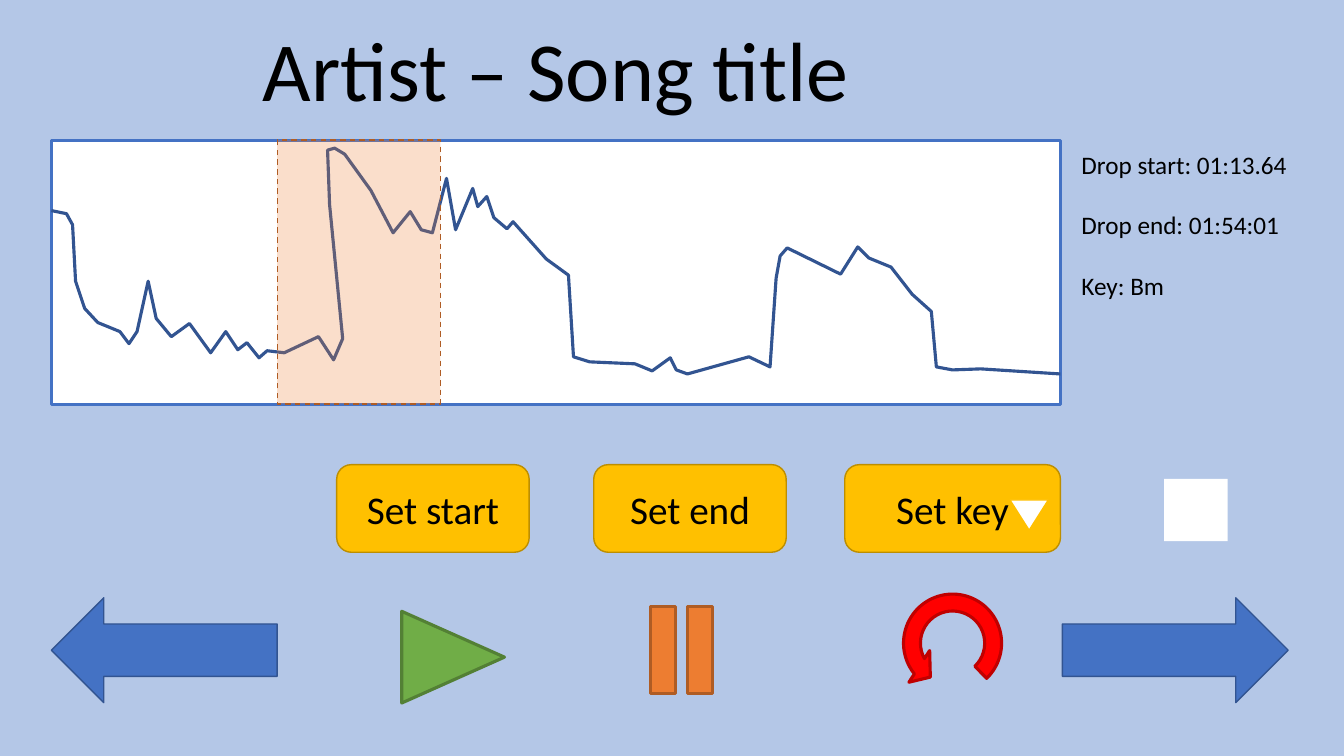
from dataclasses import dataclass
from typing import Optional

from lxml.etree import SubElement
from pptx import Presentation
from pptx.dml.color import RGBColor
from pptx.enum.dml import MSO_LINE
from pptx.enum.shapes import MSO_SHAPE
from pptx.enum.text import MSO_ANCHOR, MSO_AUTO_SIZE, PP_ALIGN
from pptx.oxml.ns import qn
from pptx.shapes.autoshape import Shape
from pptx.slide import Slide
from pptx.util import Pt

FONT = "Calibri"
COLOURS = {
    "background": "B4C7E7", "black": "000000", "white": "FFFFFF",
    "blue": "4472C4", "navy": "325491", "orange": "ED7D31", "rust": "AF5C24",
    "green": "70AD47", "forest": "538035", "red": "FF0000", "crimson": "C00000",
    "gold": "FFC000", "bronze": "BD8E00",
}
LEFT, TRACK_TOP, TRACK_WIDTH, TRACK_HEIGHT = 36.7, 100.1, 720.7, 188.6
BUTTON_TOP, BUTTON_HEIGHT, BUTTON_WIDTH = 331.9, 62.6, 137.5
ARROW_TOP, ARROW_WIDTH, ARROW_HEIGHT = 427, 161.3, 74.9
WAVE_SCALE = Pt(0.72)
WAVE = [
    (51, 209), (66, 212), (72, 223), (75, 279), (84, 306), (97, 320), (119, 329), (128, 341),
    (136, 329), (147, 279), (155, 316), (170, 334), (188, 321), (209, 350), (224, 329),
    (236, 347), (245, 340), (257, 355), (265, 348), (282, 350), (316, 334), (331, 357),
    (340, 336), (327, 203), (325, 149), (332, 147), (342, 153), (368, 189), (390, 231),
    (407, 210), (418, 228), (429, 231), (443, 177), (452, 228), (469, 187), (474, 205),
    (483, 195), (490, 216), (503, 227), (509, 220), (542, 257), (564, 273), (569, 354),
    (585, 359), (630, 361), (647, 368), (665, 355), (671, 367), (682, 371), (743, 354),
    (764, 364), (770, 276), (774, 254), (781, 246), (834, 272), (851, 245), (862, 256),
    (884, 265), (905, 292), (924, 309), (929, 364), (945, 367), (973, 366), (1052, 371),
]


@dataclass(frozen=True)
class Control:
    kind: MSO_SHAPE
    left: float
    top: float
    width: float
    height: float
    fill: str
    line: Optional[str] = None
    weight: float = 1
    rotation: float = 0
    label: str = ""
    opacity: int = 100
    dashed: bool = False
    mirrored: bool = False
    adjustments: tuple[float, ...] = ()


TRACK = Control(MSO_SHAPE.RECTANGLE, LEFT, TRACK_TOP, TRACK_WIDTH, TRACK_HEIGHT, "white", "blue", 2.25)
DROP = Control(MSO_SHAPE.RECTANGLE, 198, TRACK_TOP, 116.6, TRACK_HEIGHT, "orange", "rust",
               opacity=25, dashed=True)
ARROWS = [
    Control(kind, left, ARROW_TOP, ARROW_WIDTH, ARROW_HEIGHT, "blue", "navy")
    for kind, left in ((MSO_SHAPE.LEFT_ARROW, LEFT), (MSO_SHAPE.RIGHT_ARROW, 758.9))
]
PLAYBACK = [
    Control(MSO_SHAPE.ISOSCELES_TRIANGLE, 290.9, 432.7, 65.5, 73.4, "green", "forest", 2.25, 90),
    Control(MSO_SHAPE.MATH_EQUAL, 444.2, ARROW_TOP, 85, ARROW_HEIGHT, "orange", "rust", 2.25, 90),
    Control(MSO_SHAPE.CIRCULAR_ARROW, 637.9, 416.9, 85, 85, "red", "crimson", 2.25, 301.5,
            mirrored=True, adjustments=(0.142, 13.093, 201.892, 45.298, 0.159)),
]
BUTTONS = [
    Control(MSO_SHAPE.ROUNDED_RECTANGLE, left, BUTTON_TOP, width, BUTTON_HEIGHT, "gold", "bronze", label=label)
    for label, left, width in (("Set start", 240.5, BUTTON_WIDTH), ("Set end", 424.1, BUTTON_WIDTH),
                               ("Set key", 603.4, 154.1))
]
KEY_DROPDOWN = Control(MSO_SHAPE.ISOSCELES_TRIANGLE, 721.4, 357.1, 27.4, 21.6, "white", "gold", rotation=180)
STOP = Control(MSO_SHAPE.RECTANGLE, 831.6, 342, 45.4, 44.6, "white")
DROP_DETAILS = ["Drop start: 01:13.64", "Drop end: 01:54:01", "Key: Bm"]


def colour(name: str) -> RGBColor:
    return RGBColor.from_string(COLOURS[name])


def set_text(shape: Shape, lines: list[str], size: float, align: PP_ALIGN,
             anchor: MSO_ANCHOR, spacing: float = 1) -> None:
    frame = shape.text_frame
    frame.word_wrap = True
    frame.auto_size = MSO_AUTO_SIZE.NONE
    frame.vertical_anchor = anchor
    frame.text = "\n".join(lines)
    for paragraph in frame.paragraphs:
        paragraph.alignment = align
        paragraph.line_spacing = spacing
        paragraph.font.name = FONT
        paragraph.font.size = Pt(size)
        paragraph.font.color.rgb = colour("black")


def draw_control(slide: Slide, control: Control) -> None:
    shape = slide.shapes.add_shape(control.kind, Pt(control.left), Pt(control.top),
                                   Pt(control.width), Pt(control.height))
    shape.shadow.inherit = False
    shape.rotation = control.rotation
    for index, value in enumerate(control.adjustments):
        shape.adjustments[index] = value
    if control.mirrored:
        shape.element.spPr.find(qn("a:xfrm")).set("flipH", "1")
    shape.fill.solid()
    shape.fill.fore_color.rgb = colour(control.fill)
    if control.opacity < 100:
        shade = shape.element.spPr.find(qn("a:solidFill")).find(qn("a:srgbClr"))
        SubElement(shade, qn("a:alpha")).set("val", str(control.opacity * 1000))
    if control.line:
        shape.line.color.rgb = colour(control.line)
        shape.line.width = Pt(control.weight)
    else:
        shape.line.fill.background()
    if control.dashed:
        shape.line.dash_style = MSO_LINE.DASH
    if control.label:
        set_text(shape, [control.label], 28, PP_ALIGN.CENTER, MSO_ANCHOR.MIDDLE)


def draw_wave(slide: Slide) -> None:
    start, *following = WAVE
    builder = slide.shapes.build_freeform(*start, scale=WAVE_SCALE)
    builder.add_line_segments(following, close=False)
    wave = builder.convert_to_shape()
    wave.shadow.inherit = False
    wave.fill.background()
    wave.line.color.rgb = colour("navy")
    wave.line.width = Pt(2.25)


def main() -> None:
    deck = Presentation()
    deck.slide_width, deck.slide_height = Pt(960), Pt(540)
    slide = deck.slides.add_slide(deck.slide_layouts[5])
    slide.background.fill.solid()
    slide.background.fill.fore_color.rgb = colour("background")

    song = slide.shapes.title
    song.left, song.top, song.width, song.height = Pt(LEFT), Pt(8.6), Pt(TRACK_WIDTH), Pt(79.9)
    set_text(song, ["Artist – Song title"], 60, PP_ALIGN.CENTER, MSO_ANCHOR.TOP)

    draw_control(slide, TRACK)
    draw_wave(slide)
    for control in [DROP, *ARROWS, *PLAYBACK, *BUTTONS, KEY_DROPDOWN, STOP]:
        draw_control(slide, control)

    details = slide.shapes.add_textbox(Pt(765.4), Pt(81.4), Pt(179.3), Pt(131.8))
    set_text(details, DROP_DETAILS, 18, PP_ALIGN.LEFT, MSO_ANCHOR.TOP, 2)
    deck.save("out.pptx")


if __name__ == "__main__":
    main()
